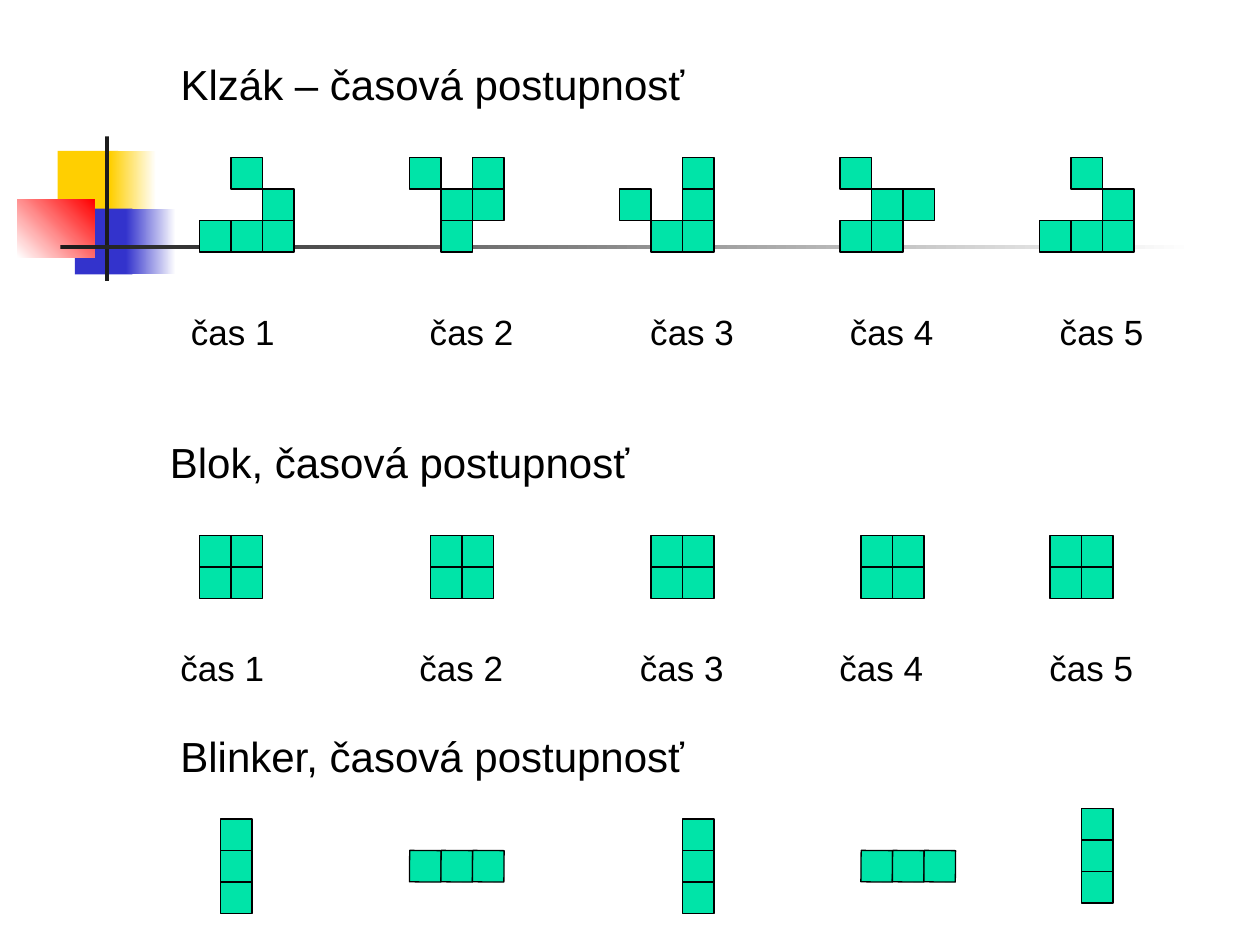
from dataclasses import dataclass

from lxml.etree import SubElement
from pptx import Presentation
from pptx.dml.color import RGBColor
from pptx.enum.shapes import MSO_SHAPE
from pptx.enum.text import MSO_ANCHOR, MSO_AUTO_SIZE, PP_ALIGN
from pptx.oxml.ns import qn
from pptx.util import Emu, Pt

SCALE = 9525
CELL = 24


@dataclass(frozen=True)
class Theme:
    font: str = "Arial"
    head: int = 24
    label: int = 20
    edge: float = 0.75
    ink: str = "000000"
    cell: str = "00E4A8"
    gold: str = "FFCF01"
    blue: str = "3333CC"
    red: str = "FF0000"
    dark: str = "1C1C1C"
    white: str = "FFFFFF"


THEME = Theme()
TABS = (182, 350, 502, 662)
TIMES = "\t".join(f"čas {n}" for n in range(1, 6))

GLIDER = (
    (152, 120, ".x./..x/xxx", 0),
    (312, 120, "x.x/.xx/.x.", 0),
    (472, 120, "..x/x.x/.xx", 0),
    (640, 120, "x../.xx/xx.", 0),
    (792, 120, ".x./..x/xxx", 0),
)
BLOCK = tuple((x, 408, "xx/xx", 0) for x in (152, 328, 496, 656, 800))
BLINKER = (
    (168, 624, "x/x/x", 0),
    (312, 648, "xxx", 90.5),
    (520, 624, "x/x/x", 0),
    (656, 648, "xxx", 90.5),
    (824, 616, "x/x/x", 0),
)
DECOR = (
    ((44, 115, 46, 50), (THEME.gold,), 0),
    ((84, 115, 35, 50), (THEME.gold, THEME.white), 0),
    ((57, 159, 44, 50), (THEME.blue,), 0),
    ((96, 159, 38, 50), (THEME.blue, THEME.white), 0),
    ((13, 152, 59, 44), (THEME.white, THEME.red), 45),
    ((80, 104, 3, 110), (THEME.dark,), 0),
    ((46, 187, 864, 3), (THEME.dark, THEME.white), 0),
)


def px(n):
    return Emu(n * SCALE)


def color(code):
    return RGBColor.from_string(code)


def assign(item, values):
    for key, value in values.items():
        setattr(item, key, value)


def rect(shapes, box, colors, angle=0):
    shape = shapes.add_shape(MSO_SHAPE.RECTANGLE, *map(px, box))
    shape.shadow.inherit = False
    if len(colors) == 1:
        shape.fill.solid()
        shape.fill.fore_color.rgb = color(colors[0])
    else:
        shape.fill.gradient()
        shape.fill.gradient_angle = angle
        for stop, code in zip(shape.fill.gradient_stops, colors):
            stop.color.rgb = color(code)
    shape.line.fill.background()
    return shape


def cells(slide, states):
    group = slide.shapes.add_group_shape()
    for left, top, form, turn in states:
        for row, line in enumerate(form.split("/")):
            for col, mark in enumerate(line):
                if mark == "x":
                    box = (left + col * CELL, top + row * CELL, CELL, CELL)
                    cell = rect(group.shapes, box, (THEME.cell,))
                    cell.rotation = turn
                    cell.line.color.rgb = color(THEME.ink)
                    cell.line.width = Pt(THEME.edge)


def write(shape, box, text, size, tabs=()):
    places = zip(("left", "top", "width", "height"), map(px, box))
    assign(shape, dict(places))
    frame = shape.text_frame
    assign(frame, {
        "word_wrap": True,
        "auto_size": MSO_AUTO_SIZE.SHAPE_TO_FIT_TEXT,
        "vertical_anchor": MSO_ANCHOR.TOP,
    })
    para = frame.paragraphs[0]
    para.alignment = PP_ALIGN.LEFT
    if tabs:
        stops = SubElement(para._p.get_or_add_pPr(), qn("a:tabLst"))
        for stop in tabs:
            SubElement(stops, qn("a:tab"), pos=str(px(stop)), algn="l")
    run = para.add_run()
    run.text = text
    assign(run.font, {"name": THEME.font, "size": Pt(size)})
    run.font.color.rgb = color(THEME.ink)


def note(slide, box, text, size, tabs=()):
    shape = slide.shapes.add_textbox(*map(px, box))
    write(shape, box, text, size, tabs)


def main():
    deck = Presentation()
    assign(deck, {"slide_width": px(960), "slide_height": px(720)})
    slide = deck.slides.add_slide(deck.slide_layouts[5])

    for box, colors, angle in DECOR:
        rect(slide.shapes, box, colors, angle)

    write(slide.shapes.title, (128, 40, 720, 48),
          "Klzák – časová postupnosť", THEME.head)
    cells(slide, GLIDER)
    note(slide, (136, 232, 800, 42), TIMES, THEME.label, TABS)

    note(slide, (120, 328, 616, 48), "Blok, časová postupnosť", THEME.head)
    cells(slide, BLOCK)
    note(slide, (128, 488, 800, 42), TIMES, THEME.label, TABS)

    note(slide, (128, 552, 616, 48), "Blinker, časová postupnosť", THEME.head)
    cells(slide, BLINKER)

    deck.save("out.pptx")


if __name__ == "__main__":
    main()
